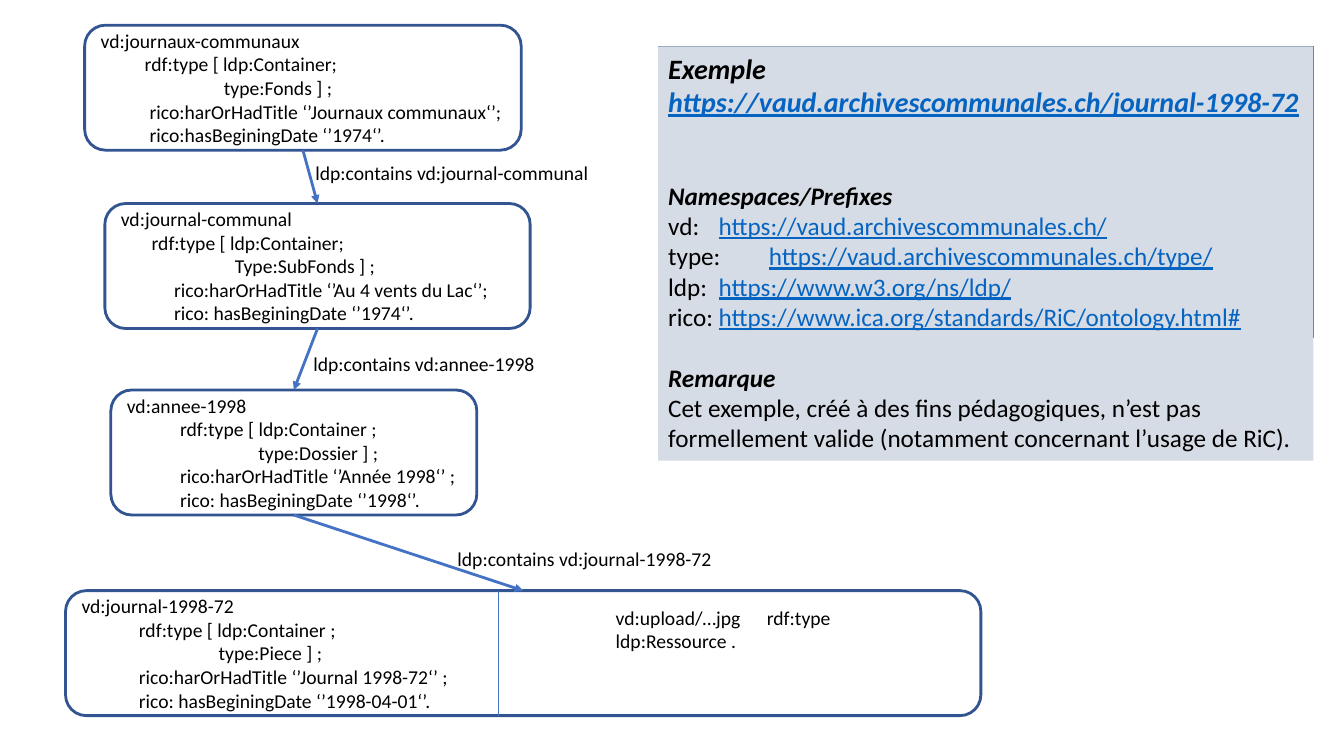
from lxml import etree
from pptx import Presentation
from pptx.dml.color import RGBColor
from pptx.enum.shapes import MSO_CONNECTOR, MSO_SHAPE
from pptx.enum.text import MSO_ANCHOR, PP_ALIGN
from pptx.oxml.ns import qn
from pptx.util import Pt

RECT = MSO_SHAPE.RECTANGLE
ROUND = MSO_SHAPE.FLOWCHART_ALTERNATE_PROCESS
LINE = MSO_CONNECTOR.STRAIGHT
LEFT = PP_ALIGN.LEFT
TOP, MIDDLE = MSO_ANCHOR.TOP, MSO_ANCHOR.MIDDLE
BLUE, NAVY, PALE, LINK = "4472C4", "325491", "D6DCE5", "0563C1"
BLACK, WHITE = "000000", "FFFFFF"
HIGH = 89.3


def tint(code):
    return RGBColor.from_string(code)


def apply(item, form):
    for key, value in form.items():
        setattr(item, key, value)


class Page:
    font = "Calibri"

    def __init__(self, slide):
        self.shapes = slide.shapes

    def fill_text(self, shape, rows, anchor=TOP):
        frame = shape.text_frame
        apply(frame, {"word_wrap": True, "vertical_anchor": anchor, "margin_right": 0})
        for num, row in enumerate(rows):
            para = frame.add_paragraph() if num else frame.paragraphs[0]
            apply(para, {"alignment": LEFT, "space_before": Pt(row.get("gap", 0))})
            props = para._p.get_or_add_pPr()
            props.set("marL", str(Pt(row.get("inset", 0))))
            props.set("indent", "0")
            if "tabs" in row:
                stops = etree.SubElement(props, qn("a:tabLst"))
                for stop in row["tabs"]:
                    etree.SubElement(stops, qn("a:tab"), pos=str(Pt(stop)), algn="l")
            for text, color in row["runs"]:
                run = para.add_run()
                run.text = text
                strong = row.get("strong", False)
                apply(run.font, {"name": self.font, "size": Pt(row.get("size", 14)),
                                 "bold": strong, "italic": strong,
                                 "underline": color == LINK})
                run.font.color.rgb = tint(color)

    def box(self, kind, place, fill, edge=None, width=1):
        shape = self.shapes.add_shape(kind, *map(Pt, place))
        shape.shadow.inherit = False
        shape.fill.solid()
        shape.fill.fore_color.rgb = tint(fill)
        if edge:
            shape.line.color.rgb = tint(edge)
            shape.line.width = Pt(width)
        else:
            shape.line.fill.background()
        return shape

    def label(self, place, rows):
        self.fill_text(self.shapes.add_textbox(*map(Pt, place)), rows)

    def line(self, ends, width):
        link = self.shapes.add_connector(LINE, *map(Pt, ends))
        link.line.color.rgb = tint(BLUE)
        link.line.width = Pt(width)
        etree.SubElement(link._element.spPr, qn("a:effectLst"))
        return link

    def arrow(self, start, end):
        link = self.line((0, 0, 0, 0), 2)
        link.begin_connect(start, 2)
        link.end_connect(end, 0)
        outline = link._element.spPr.find(qn("a:ln"))
        etree.SubElement(outline, qn("a:tailEnd"), type="triangle")


def plain(text, **form):
    return {"runs": [(text, BLACK)], **form}


def prefix(name, link):
    return {"runs": [(name + ":\t", BLACK), (link, LINK)], "size": 18, "tabs": [40]}


deck = Presentation()
deck.slide_width, deck.slide_height = Pt(960), Pt(540)
page = Page(deck.slides.add_slide(deck.slide_layouts[6]))

SITE = "https://vaud.archivescommunales.ch/"
head = {"size": 18, "strong": True}
page.box(RECT, (470.2, 33.1, 468, 208), BLUE, NAVY)
panel = page.box(RECT, (470.2, 33.1, 468, 295.9), PALE)
page.fill_text(panel, [
    plain("Exemple", size=20, strong=True),
    {"runs": [(SITE + "journal-1998-72", LINK)], "size": 20, "strong": True},
    plain("Namespaces/Prefixes", gap=44, **head),
    prefix("vd", SITE),
    prefix("type", SITE + "type/"),
    prefix("ldp", "https://www.w3.org/ns/ldp/"),
    prefix("rico", "https://www.ica.org/standards/RiC/ontology.html#"),
    plain("Remarque", gap=22, **head),
    plain("Cet exemple, créé à des fins pédagogiques, n’est pas "
          "formellement valide (notamment concernant l’usage de RiC).", size=18),
])

LEVELS = [
    ((60.5, 18, 311.8), (31.5, 88, 35),
     ["vd:journaux-communaux", "rdf:type [ ldp:Container;", "type:Fonds ] ;",
      "rico:harOrHadTitle ‘’Journaux communaux‘’;", "rico:hasBeginingDate ‘’1974‘’."], None),
    ((74.9, 145.4, 303.8), (22, 81.5, 38),
     ["vd:journal-communal", "rdf:type [ ldp:Container;", "Type:SubFonds ] ;",
      "rico:harOrHadTitle ‘’Au 4 vents du Lac‘’;", "rico: hasBeginingDate ‘’1974‘’."],
     (218.2, 111.6)),
    ((79.2, 278.6, 261.4), (38, 94, 38),
     ["vd:annee-1998", "rdf:type [ ldp:Container ;", "type:Dossier ] ;",
      "rico:harOrHadTitle ‘’Année 1998‘’ ;", "rico: hasBeginingDate ‘’1998‘’."],
     (216.7, 247.7)),
    ((46.8, 421.9, 653.8), (41, 98, 41),
     ["vd:journal-1998-72", "rdf:type [ ldp:Container ;", "type:Piece ] ;",
      "rico:harOrHadTitle ‘’Journal 1998-72‘’ ;", "rico: hasBeginingDate ‘’1998-04-01‘’."],
     (319.7, 387.4)),
]
last = None
for place, (kind, sub, rest), texts, spot in LEVELS:
    node = page.box(ROUND, (*place, HIGH), WHITE, NAVY, 2)
    page.fill_text(node, [plain(text, inset=inset)
                          for text, inset in zip(texts, (0, kind, sub, rest, rest))], MIDDLE)
    if last:
        page.arrow(last, node)
        page.label((*spot, 224, 41), [plain("ldp:contains " + texts[0])])
    last = node

page.label((432.7, 429.1, 260, 24.5),
           [plain("vd:upload/…jpg\trdf:type\tldp:Ressource .", tabs=[98.5, 153.5])])
page.line((355.7, 421.9, 355.7, 421.9 + HIGH), 0.5)

deck.save("out.pptx")
